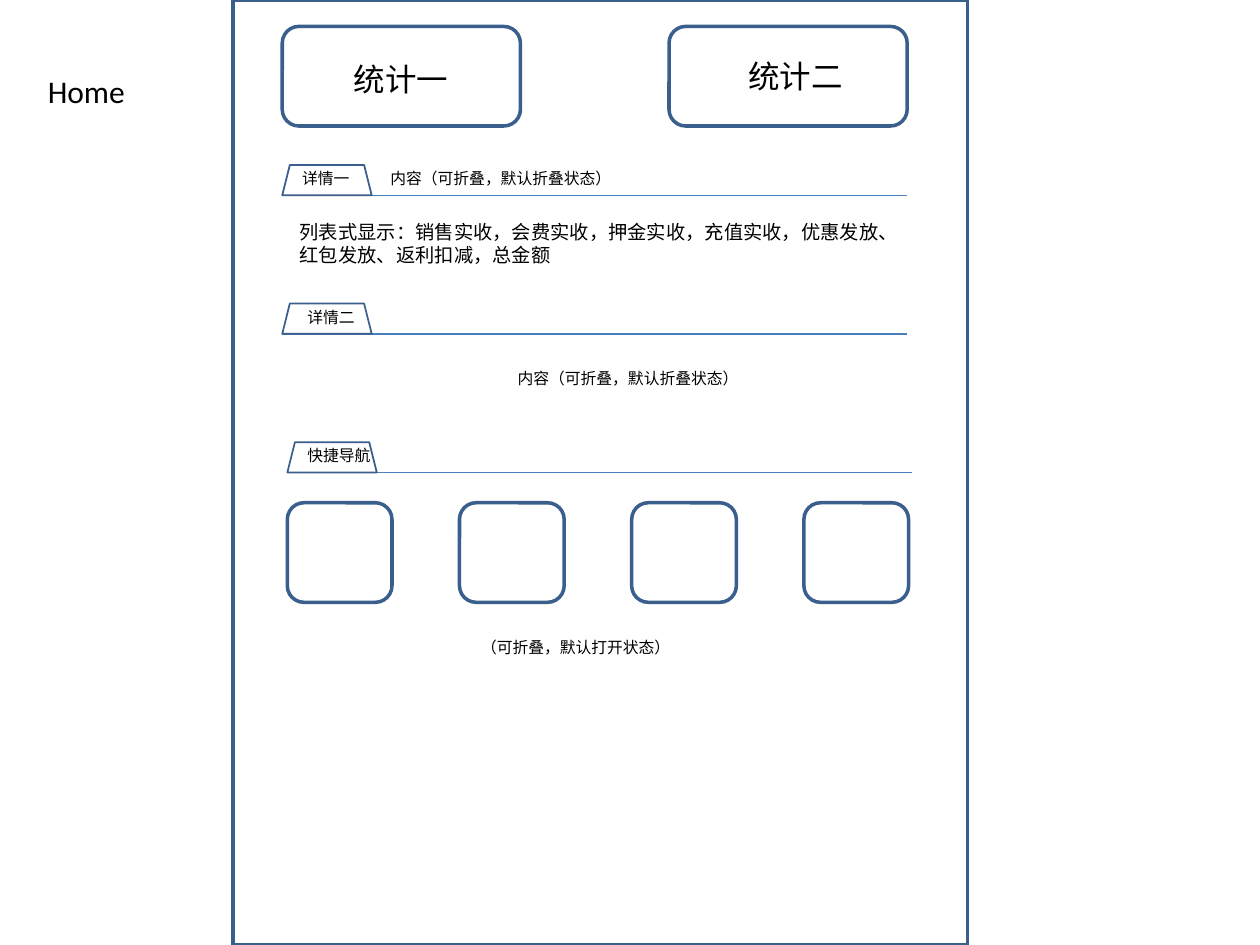
from dataclasses import dataclass

from lxml import etree
from pptx import Presentation
from pptx.dml.color import RGBColor
from pptx.enum.shapes import MSO_CONNECTOR, MSO_SHAPE
from pptx.enum.text import MSO_AUTO_SIZE
from pptx.oxml.ns import qn
from pptx.util import Pt

RECT = MSO_SHAPE.RECTANGLE
ROUNDED = MSO_SHAPE.ROUNDED_RECTANGLE
TRAPEZOID = MSO_SHAPE.TRAPEZOID
STRAIGHT = MSO_CONNECTOR.STRAIGHT
GROW = MSO_AUTO_SIZE.SHAPE_TO_FIT_TEXT


@dataclass(frozen=True)
class Theme:
    """Colours, line widths and type sizes of the wireframe."""
    outline: RGBColor = RGBColor(0x3A, 0x5F, 0x8C)
    rule: RGBColor = RGBColor(0x4B, 0x7E, 0xBC)
    ink: RGBColor = RGBColor(0, 0, 0)
    font: str = "Calibri"
    title: float = 18
    body: float = 11
    label: float = 9
    thick: float = 2
    medium: float = 1
    thin: float = 0.75


THEME = Theme()


def add_outline(slide, kind, box, weight=THEME.thick):
    """Draw an unfilled outlined shape in the box."""
    outline = slide.shapes.add_shape(kind, *map(Pt, box))
    outline.shadow.inherit = False
    outline.fill.background()
    outline.line.color.rgb = THEME.outline
    outline.line.width = Pt(weight)


def add_text(slide, wording, box, size, wrap=True):
    """Place one run of text in the box."""
    frame = slide.shapes.add_textbox(*map(Pt, box)).text_frame
    frame.word_wrap = wrap
    frame.auto_size = GROW
    run = frame.paragraphs[0].add_run()
    run.text = wording
    run.font.size = Pt(size)
    run.font.name = THEME.font
    run.font.color.rgb = THEME.ink


def add_statistic(slide, wording, box, text_left, text_top):
    """Draw a statistic card with its title offset inside the box."""
    left, top = box[:2]
    add_outline(slide, ROUNDED, box)
    add_text(slide, wording, (left + text_left, top + text_top, 69.1, 29),
             THEME.title, wrap=False)


def add_section_header(slide, wording, box, indent):
    """Draw a tab standing on a rule along the bottom of the box."""
    left, top, width, height = box
    bottom = top + height
    rule = slide.shapes.add_connector(
        STRAIGHT, Pt(left), Pt(bottom), Pt(left + width), Pt(bottom))
    rule.line.color.rgb = THEME.rule
    rule.line.width = Pt(THEME.thin)
    etree.SubElement(rule._element.spPr, qn("a:effectLst"))
    tab_width = 51.1
    add_outline(slide, TRAPEZOID, (left, top, tab_width, height), THEME.medium)
    add_text(slide, wording, (left + indent, top - 1.4, tab_width, 18), THEME.label)


def add_shortcuts(slide, box, count=4, tile_width=59.8):
    """Spread equal shortcut tiles across the box."""
    left, top, width, height = box
    pitch = (width - tile_width) / (count - 1)
    for index in range(count):
        add_outline(slide, ROUNDED, (left + index * pitch, top, tile_width, height))


def build_home(slide, box):
    """Lay out the home page wireframe within the page box."""
    left, top, width, height = box
    add_outline(slide, RECT, box)
    add_text(slide, "Home", (left - 113, top + 37.4, 59, 29), THEME.title, wrap=False)

    content = left + 28.1
    for wording, offset, text_left, text_top in (
            ("统计一", 0, 33.8, 15.9), ("统计二", 221, 38.2, 13.7)):
        add_statistic(slide, wording, (content + offset, top + 15.1, 136.1, 56.9),
                      text_left, text_top)

    section_pitch = 79.2
    for index, (wording, offset, indent) in enumerate((
            ("详情一", 0, 4.3), ("详情二", 0, 7.2), ("快捷导航", 2.9, 4.3))):
        add_section_header(
            slide, wording,
            (content + offset, top + 94.3 + index * section_pitch, 357.1, 17.3), indent)

    add_shortcuts(slide, (content + 2.9, top + 287.3, 355, 56.9))

    collapsed = "内容（可折叠，默认折叠状态）"
    for wording, note_left, note_top in (
            (collapsed, 82.8, 92.9),
            (collapsed, 155.5, 207.4),
            ("（可折叠，默认打开状态）", 134.6, 360.7)):
        add_text(slide, wording, (left + note_left, top + note_top, 144.7, 18),
                 THEME.label)

    add_text(slide,
             "列表式显示：销售实收，会费实收，押金实收，充值实收，优惠发放、"
             "红包发放、返利扣减，总金额",
             (content + 2.9, top + 122.4, 360, 33.8), THEME.body)


def main():
    """Build and save the one-slide deck."""
    deck = Presentation()
    deck.slide_width, deck.slide_height = Pt(720), Pt(540)
    slide = deck.slides.add_slide(deck.slide_layouts[6])
    build_home(slide, (133.2, 0, 419.8, 540))
    deck.save("out.pptx")


main()
